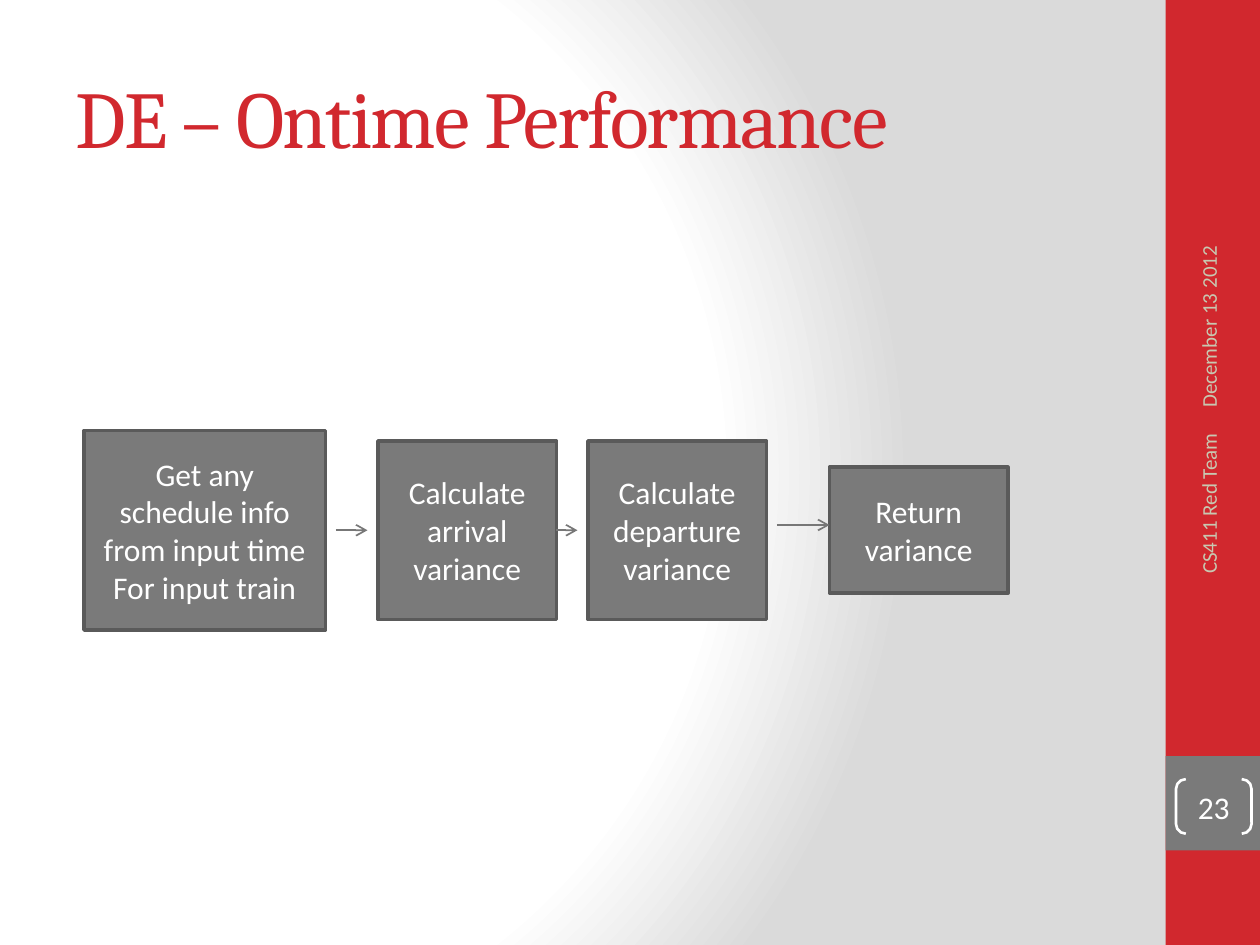
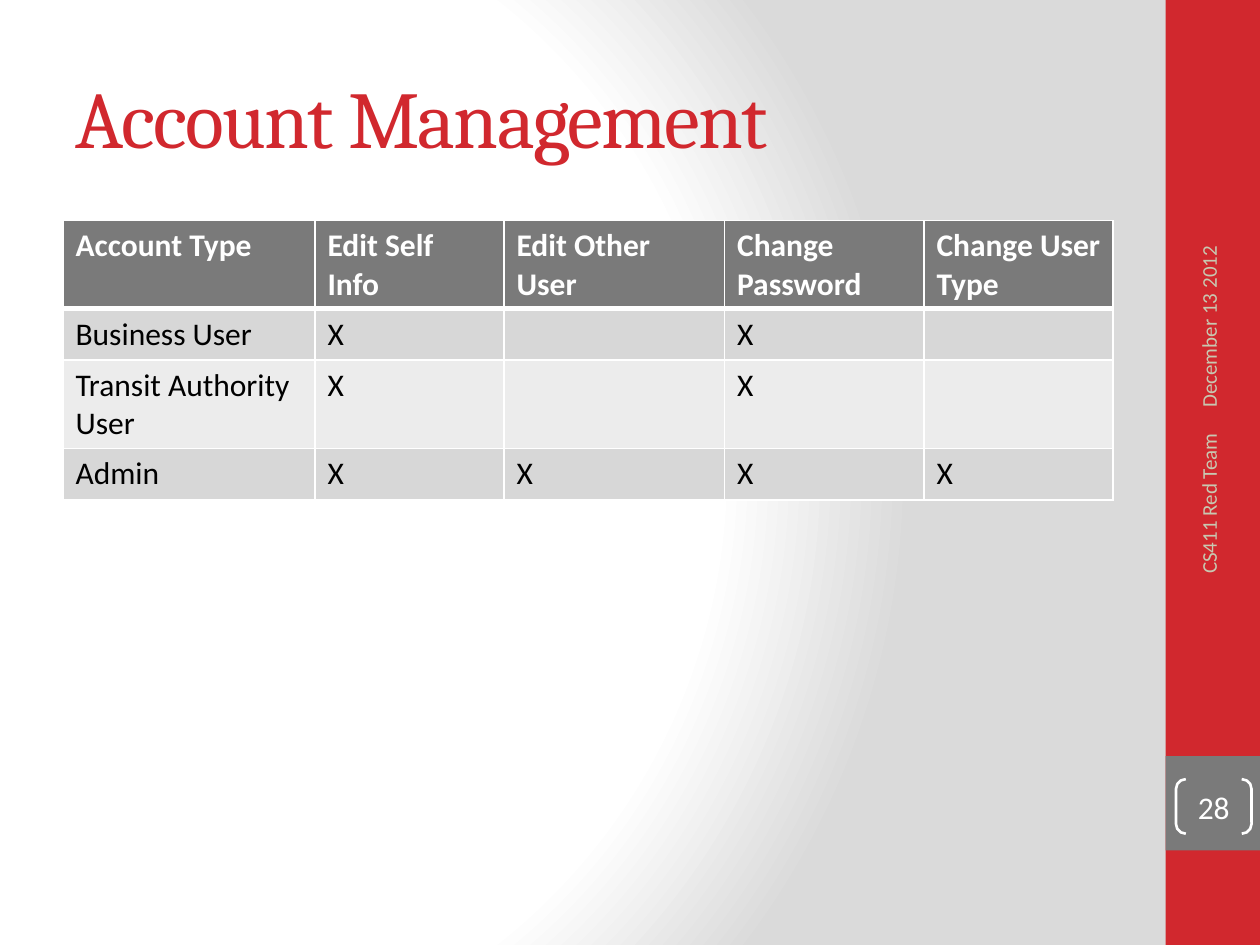
from lxml import etree
from pptx import Presentation
from pptx.dml.color import RGBColor
from pptx.enum.shapes import MSO_CONNECTOR, MSO_SHAPE
from pptx.enum.text import MSO_ANCHOR, PP_ALIGN
from pptx.oxml import parse_xml
from pptx.oxml.ns import nsdecls, qn
from pptx.util import Inches, Pt

RECTANGLE = MSO_SHAPE.RECTANGLE
PROCESS = MSO_SHAPE.FLOWCHART_PROCESS
BRACKETS = MSO_SHAPE.DOUBLE_BRACKET
STRAIGHT = MSO_CONNECTOR.STRAIGHT
LEFT, CENTER, RIGHT = PP_ALIGN.LEFT, PP_ALIGN.CENTER, PP_ALIGN.RIGHT
MIDDLE = MSO_ANCHOR.MIDDLE

RED = RGBColor(0xD1, 0x28, 0x2E)
GRAY = RGBColor(0x7A, 0x7A, 0x7A)
DARK_GRAY = RGBColor(0x5A, 0x5A, 0x5A)
ARROW_GRAY = RGBColor(0x77, 0x77, 0x77)
BACKDROP_GRAY = RGBColor(0xDA, 0xDA, 0xDA)
FOOTER_BEIGE = RGBColor(0xC8, 0xC8, 0xB1)
ROW_DARK = RGBColor(0xD7, 0xD7, 0xD7)
ROW_LIGHT = RGBColor(0xEC, 0xEC, 0xEC)
WHITE = RGBColor(0xFF, 0xFF, 0xFF)
BLACK = RGBColor(0, 0, 0)

HEADING_FONT, BODY_FONT = "Cambria", "Calibri"
TITLE_ONLY = 5

# The slide is a grid of 120 columns by 90 rows, twelve to the inch
COLUMNS, ROWS = 120, 90
BAND_LEFT, BAND_WIDTH = 111, 9
FLOW_MIDDLE = 50.5

# Left column, width, height, paragraphs
FLOW_STEPS = [
    (8, 23, 19, ["Get any schedule info from input time", "For input train"]),
    (36, 17, 17, ["Calculate arrival variance"]),
    (56, 17, 17, ["Calculate departure variance"]),
    (79, 17, 12, ["Return variance"]),
]
# Start column, end column, row
FLOW_ARROWS = [(32, 35, FLOW_MIDDLE), (53, 55, FLOW_MIDDLE), (74, 79, 50)]

TABLE_COLUMNS = [24, 18, 21, 19, 18]
PERMISSIONS = [
    ["Account Type", "Edit Self Info", "Edit Other User",
     "Change Password", "Change User Type"],
    ["Business User", "X", "", "X", ""],
    ["Transit Authority User", "X", "", "X", ""],
    ["Admin", "X", "X", "X", "X"],
]


def grid(*units):
    return [Inches(unit / 12) for unit in units]


def style_text(text_frame, size, color, alignment=LEFT, font=BODY_FONT, bold=False):
    for paragraph in text_frame.paragraphs:
        paragraph.alignment = alignment
        for run in paragraph.runs:
            run.font.size = Pt(size)
            run.font.name = font
            run.font.bold = bold
            run.font.color.rgb = color


def add_box(slide, kind, place, fill=None, line=None, line_width=1):
    shape = slide.shapes.add_shape(kind, *grid(*place))
    shape.shadow.inherit = False
    if fill is None:
        shape.fill.background()
    else:
        shape.fill.solid()
        shape.fill.fore_color.rgb = fill
    if line is None:
        shape.line.fill.background()
    else:
        shape.line.color.rgb = line
        shape.line.width = Pt(line_width)
    return shape


def add_arrow(slide, start, end, row):
    connector = slide.shapes.add_connector(STRAIGHT, *grid(start, row, end, row))
    connector.line.color.rgb = ARROW_GRAY
    connector.line.width = Pt(1)
    line = connector.line._get_or_add_ln()
    etree.SubElement(line, qn("a:tailEnd"), type="arrow")
    etree.SubElement(connector.element.spPr, qn("a:effectLst"))


def add_side_text(slide, text, place, alignment):
    box = slide.shapes.add_textbox(*grid(*place))
    box.rotation = 270
    text_frame = box.text_frame
    text_frame.word_wrap = True
    text_frame.vertical_anchor = MIDDLE
    text_frame.text = text
    style_text(text_frame, 12, FOOTER_BEIGE, alignment)


def set_background(master):
    """Radial fade from white to gray, centred left of the middle."""
    fill = master.background.fill
    fill.gradient()
    stops = "".join(
        f'<a:gs pos="{share * 1000}"><a:srgbClr val="{color}"/></a:gs>'
        for share, color in [(0, WHITE), (75, WHITE), (100, BACKDROP_GRAY)])
    gradient = parse_xml(
        f'<a:gradFill {nsdecls("a")} rotWithShape="1"><a:gsLst>{stops}</a:gsLst>'
        '<a:path path="circle"><a:fillToRect l="20000" t="50000" r="100000" b="50000"/>'
        '</a:path></a:gradFill>')
    old = master.element.find(".//" + qn("p:bgPr")).find(qn("a:gradFill"))
    old.getparent().replace(old, gradient)


def move_bands_to_master(slide, master):
    """The red band and its gray square are drawn once, for all slides."""
    bands = [((BAND_LEFT, 0, BAND_WIDTH, ROWS), RED),
             ((BAND_LEFT, 72, BAND_WIDTH, BAND_WIDTH), GRAY)]
    for place, color in bands:
        band = add_box(slide, RECTANGLE, place, color)
        master.shapes.element.append(band.element)


def add_slide(presentation, title_text, number):
    slide = presentation.slides.add_slide(presentation.slide_layouts[TITLE_ONLY])

    # Title
    title = slide.shapes.title
    title.left, title.top, title.width, title.height = grid(6, 3.6, 100, 15)
    title.text_frame.text = title_text
    title.text_frame.vertical_anchor = MIDDLE
    style_text(title.text_frame, 46, RED, font=HEADING_FONT)
    for run in title.text_frame.paragraphs[0].runs:
        run.font._element.set("spc", "-100")

    # Date, team and slide number on the band
    add_side_text(slide, "December 13 2012", (99.1, 21.6, 32, 4.8), LEFT)
    add_side_text(slide, "CS411 Red Team", (99.6, 53.2, 31, 4.8), RIGHT)
    brackets = add_box(slide, BRACKETS, (112, 74.2, 7.2, 5.2), None, WHITE, 1.5)
    brackets.adjustments[0] = 0.18
    text_frame = brackets.text_frame
    text_frame.margin_left = text_frame.margin_right = 0
    text_frame.margin_top = text_frame.margin_bottom = 0
    text_frame.vertical_anchor = MIDDLE
    text_frame.text = str(number)
    style_text(text_frame, 18, WHITE, CENTER)
    return slide


def add_flow(slide):
    for left, width, height, lines in FLOW_STEPS:
        place = (left, FLOW_MIDDLE - height / 2, width, height)
        step = add_box(slide, PROCESS, place, GRAY, DARK_GRAY, 2)
        step.text_frame.vertical_anchor = MIDDLE
        step.text_frame.text = "\n".join(lines)
        style_text(step.text_frame, 18, WHITE, CENTER)
    for start, end, row in FLOW_ARROWS:
        add_arrow(slide, start, end, row)


def set_borders(cell, bottom_width):
    properties = cell._tc.get_or_add_tcPr()
    widths = [("L", 1), ("R", 1), ("T", 1), ("B", bottom_width)]
    for position, (side, width) in enumerate(widths):
        properties.insert(position, parse_xml(
            f'<a:ln{side} {nsdecls("a")} w="{Pt(width)}"><a:solidFill>'
            f'<a:srgbClr val="{WHITE}"/></a:solidFill></a:ln{side}>'))


def add_permission_table(slide):
    row_height = 4.9
    place = grid(6, 21, sum(TABLE_COLUMNS), row_height * len(PERMISSIONS))
    table = slide.shapes.add_table(len(PERMISSIONS), len(TABLE_COLUMNS), *place).table
    for column, width in zip(table.columns, grid(*TABLE_COLUMNS)):
        column.width = width
    for row_index, texts in enumerate(PERMISSIONS):
        header = row_index == 0
        fill = GRAY if header else (ROW_LIGHT, ROW_DARK)[row_index % 2]
        for column_index, text in enumerate(texts):
            cell = table.cell(row_index, column_index)
            cell.fill.solid()
            cell.fill.fore_color.rgb = fill
            cell.text_frame.text = text
            style_text(cell.text_frame, 18, WHITE if header else BLACK, bold=header)
            # The rule under the header is thick on both sides of the edge
            set_borders(cell, 3 if header else 1)
            if row_index == 1:
                cell._tc.tcPr.find(qn("a:lnT")).set("w", str(Pt(3)))


def main():
    presentation = Presentation()
    presentation.slide_width, presentation.slide_height = grid(COLUMNS, ROWS)
    master = presentation.slide_master
    set_background(master)

    flow_slide = add_slide(presentation, "DE – Ontime Performance", 23)
    move_bands_to_master(flow_slide, master)
    add_flow(flow_slide)

    account_slide = add_slide(presentation, "Account Management", 28)
    add_permission_table(account_slide)

    presentation.save("out.pptx")


main()
